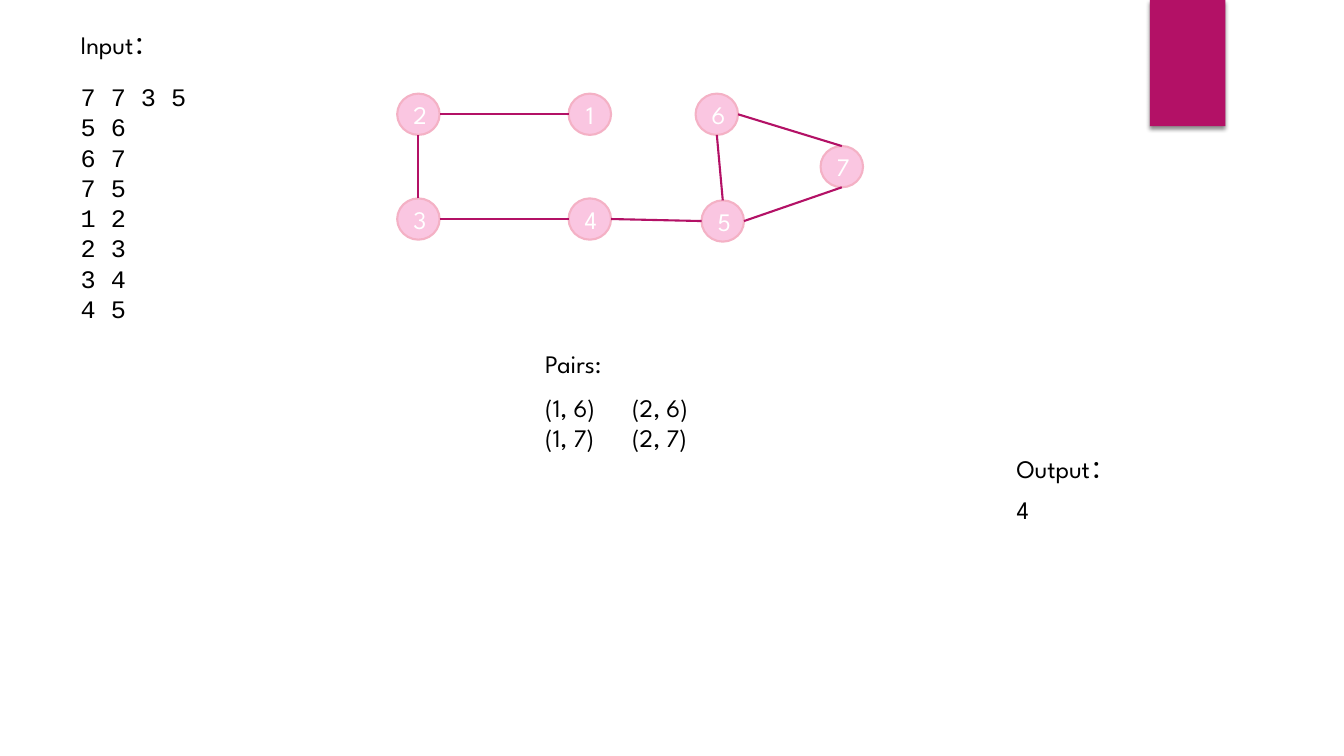
import lxml.etree
import pptx
import pptx.dml.color
import pptx.enum.shapes
import pptx.enum.text
import pptx.oxml
import pptx.oxml.ns
import pptx.util

Cm = pptx.util.Cm
Pt = pptx.util.Pt
RGBColor = pptx.dml.color.RGBColor
SHAPES = pptx.enum.shapes.MSO_SHAPE

MAGENTA = RGBColor(0xB3, 0x11, 0x66)
PINK = RGBColor(0xFA, 0xC6, 0xE1)
ROSE = RGBColor(0xF4, 0xB1, 0xC5)
BLACK = RGBColor(0x00, 0x00, 0x00)
WHITE = RGBColor(0xFF, 0xFF, 0xFF)

SANS = "League Spartan"
MONO = "Courier New"
CAPTION_HEIGHT = 1.02
NODE_WIDTH, NODE_HEIGHT = 1.07, 1.04

# Node offsets from the top left corner of the graph, in cm
NODES = {
    "1": (4.32, 0), "2": (0, 0), "3": (0, 2.64), "4": (4.32, 2.64),
    "5": (7.67, 2.69), "6": (7.52, 0), "7": (10.67, 1.32),
}
# Each edge: node and side where it starts, node and side where it ends
EDGES = [
    ("1", "left", "2", "right"), ("3", "top", "2", "bottom"),
    ("3", "right", "4", "left"), ("5", "right", "7", "bottom"),
    ("4", "right", "5", "left"), ("6", "bottom", "5", "top"),
    ("7", "top", "6", "right"),
]
SIDES = {"top": (0.5, 0), "left": (0, 0.5), "bottom": (0.5, 1), "right": (1, 0.5)}


def format_text(paragraph, font_name, color):
    for run in paragraph.runs:
        run.font.name = font_name
        run.font.size = Pt(18)
        run.font.color.rgb = color


def add_lines(slide, box, lines, font_name=SANS, wrap=True, tab=None):
    """Place one paragraph per line in box, with an optional tab stop in cm."""
    frame = slide.shapes.add_textbox(*map(Cm, box)).text_frame
    frame.text = "\n".join(lines)
    frame.word_wrap = wrap
    frame.auto_size = pptx.enum.text.MSO_AUTO_SIZE.SHAPE_TO_FIT_TEXT
    for paragraph in frame.paragraphs:
        if tab:
            tabs = lxml.etree.SubElement(
                paragraph._p.get_or_add_pPr(), pptx.oxml.ns.qn("a:tabLst"))
            lxml.etree.SubElement(
                tabs, pptx.oxml.ns.qn("a:tab"), pos=str(Cm(tab)), algn="l")
        format_text(paragraph, font_name, BLACK)


def add_banner(slide, box):
    banner = slide.shapes.add_shape(SHAPES.RECTANGLE, *map(Cm, box))
    banner.fill.solid()
    banner.fill.fore_color.rgb = MAGENTA
    banner.line.fill.background()
    banner.shadow.inherit = False
    effects = banner._element.spPr.find(pptx.oxml.ns.qn("a:effectLst"))
    effects.append(pptx.oxml.parse_xml(
        f'<a:outerShdw {pptx.oxml.ns.nsdecls("a")} blurRad="{Pt(3)}" '
        f'dist="{Pt(2)}" dir="5400000" rotWithShape="0">'
        '<a:srgbClr val="000000"><a:alpha val="45000"/></a:srgbClr>'
        '</a:outerShdw>'))


def add_input(slide, box):
    left, top, width, height = box
    add_lines(slide, (left, top, 2.72, CAPTION_HEIGHT), ["Input："], wrap=False)
    rows = ["7 7 3 5", "5 6", "6 7", "7 5", "1 2", "2 3", "3 4", "4 5"]
    add_lines(slide, (left, top + 1.32, width, height - 1.32), rows, MONO)


def add_node(slide, label, left, top):
    node = slide.shapes.add_shape(
        SHAPES.OVAL, Cm(left), Cm(top), Cm(NODE_WIDTH), Cm(NODE_HEIGHT))
    node.fill.solid()
    node.fill.fore_color.rgb = PINK
    node.line.color.rgb = ROSE
    node.line.width = Pt(1.5)
    node.shadow.inherit = False
    node.text_frame.text = label
    node.text_frame.vertical_anchor = pptx.enum.text.MSO_ANCHOR.MIDDLE
    paragraph = node.text_frame.paragraphs[0]
    paragraph.alignment = pptx.enum.text.PP_ALIGN.CENTER
    format_text(paragraph, SANS, WHITE)


def add_graph(slide, left, top):
    def side_point(label, side):
        (x, y), (across, down) = NODES[label], SIDES[side]
        return (Cm(left + x + across * NODE_WIDTH),
                Cm(top + y + down * NODE_HEIGHT))

    for label, (x, y) in NODES.items():
        add_node(slide, label, left + x, top + y)
    for start, start_side, end, end_side in EDGES:
        edge = slide.shapes.add_connector(
            pptx.enum.shapes.MSO_CONNECTOR.STRAIGHT,
            *side_point(start, start_side), *side_point(end, end_side))
        edge.line.color.rgb = MAGENTA
        edge.line.width = Pt(1.5)
        lxml.etree.SubElement(
            edge._element.spPr, pptx.oxml.ns.qn("a:effectLst"))


def add_pairs(slide, box):
    left, top, width, height = box
    add_lines(slide, (left, top, width, CAPTION_HEIGHT), ["Pairs:"])
    add_lines(slide, (left, top + 1.09, 5.1, height - 1.09),
              ["(1, 6)\t(2, 6)", "(1, 7)\t(2, 7)"], tab=2.19)


def add_output(slide, left, top):
    add_lines(slide, (left, top, 3.38, CAPTION_HEIGHT), ["Output："], wrap=False)
    add_lines(slide, (left, top + CAPTION_HEIGHT, 0.86, CAPTION_HEIGHT),
              ["4"], wrap=False)


def main():
    deck = pptx.Presentation()
    deck.slide_width, deck.slide_height = Cm(33.87), Cm(19.05)
    slide = deck.slides.add_slide(deck.slide_layouts[6])
    add_banner(slide, (28.98, 0, 1.9, 3.18))
    add_input(slide, (1.78, 0.61, 3.35, 7.72))
    add_graph(slide, 10.01, 2.36)
    add_pairs(slide, (13.49, 8.66, 11.28, 2.89))
    add_output(slide, 25.37, 11.3)
    deck.save("out.pptx")


if __name__ == "__main__":
    main()
